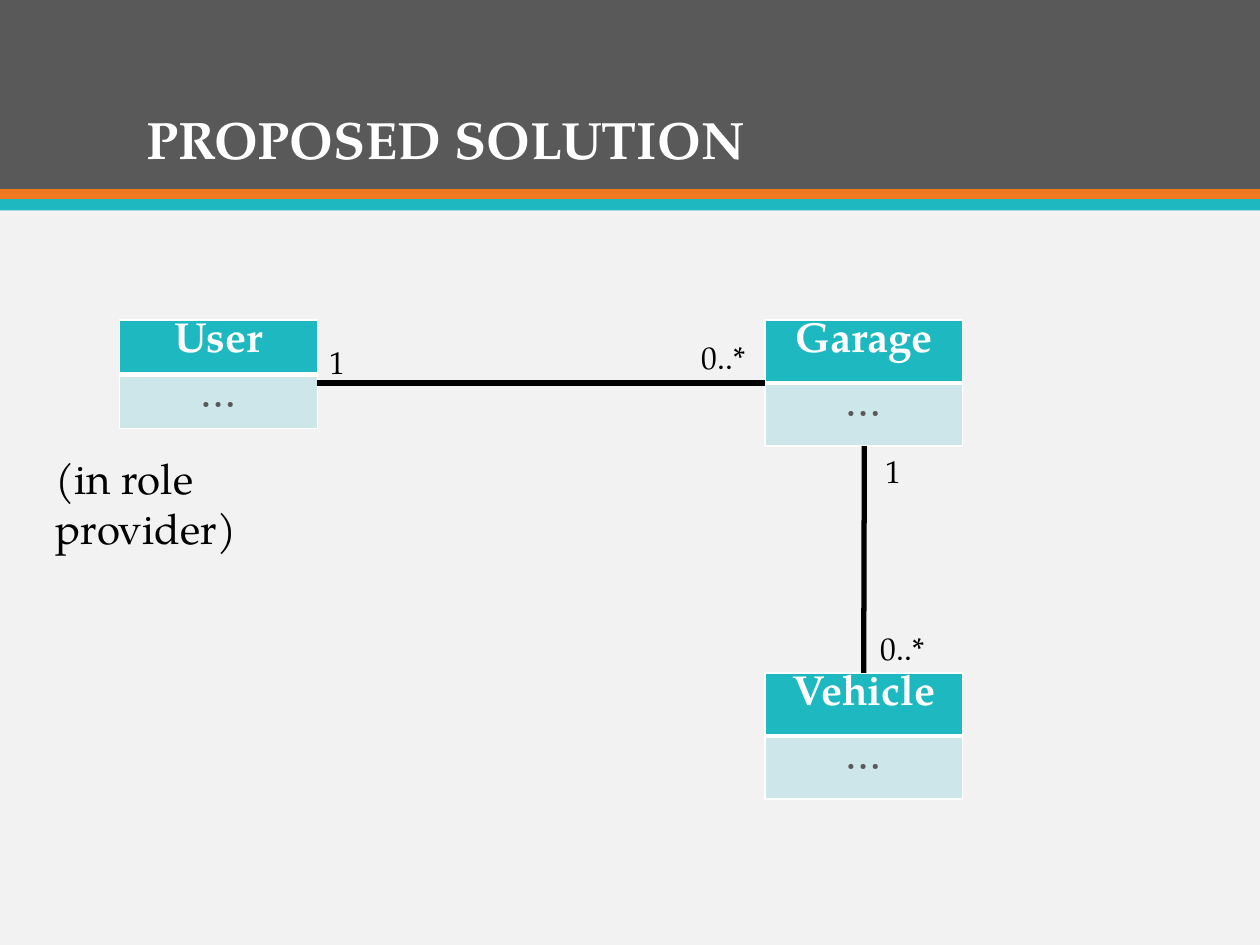
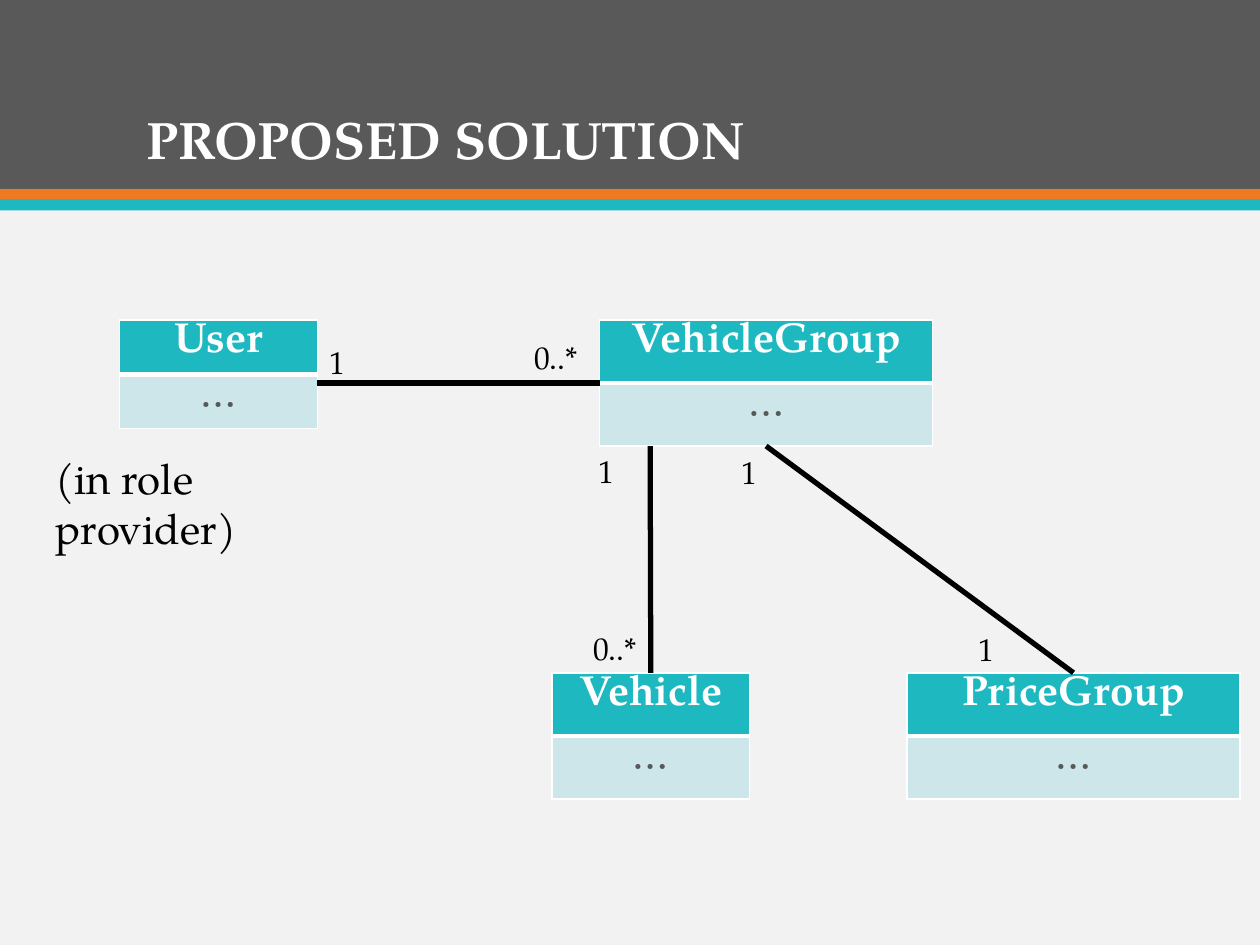
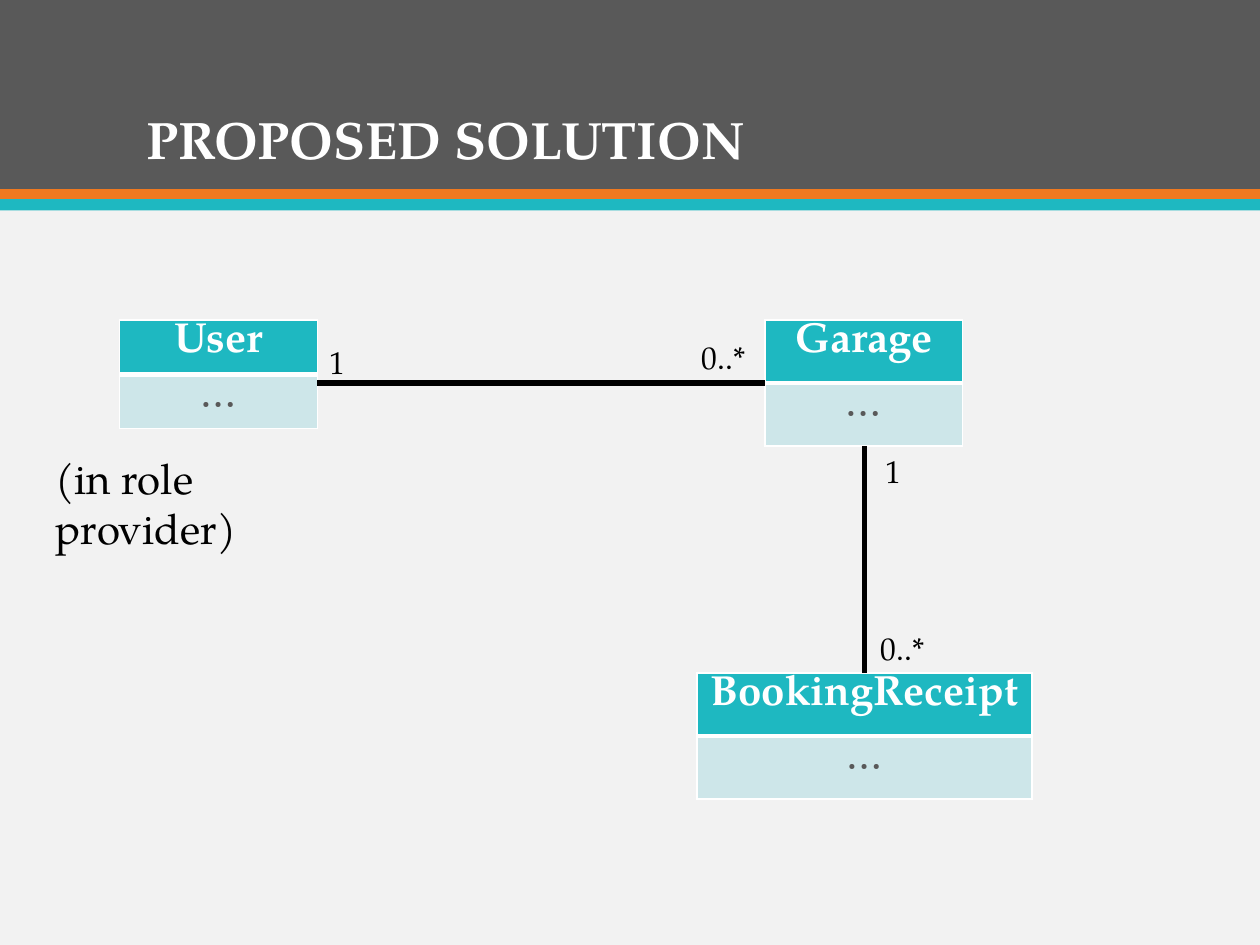
from lxml import etree
from pptx import Presentation
from pptx.dml.color import RGBColor
from pptx.enum import shapes, text
from pptx.oxml import ns
from pptx.util import Inches, Pt

# Content: owner is (name, left, width); children add the x where their link starts;
# multiplicities are (text, left, top)
TITLE = "PROPOSED SOLUTION"
ROLE_NOTE = "(in role provider)"
USER = ("User", 0.95, 1.57)
GARAGE = ("Garage", 6.07, 1.57)
GARAGE_LABELS = [("0..*", 5.47, 2.63), ("1", 6.93, 3.54), ("0..*", 6.89, 4.94)]
DIAGRAMS = [
    {"owner": GARAGE,
     "children": [("Vehicle", 6.07, 1.57, 6.86)],
     "labels": GARAGE_LABELS},
    {"owner": ("VehicleGroup", 4.76, 2.64),
     "children": [("Vehicle", 4.38, 1.57, 5.16), ("PriceGroup", 7.2, 2.64, 6.08)],
     "labels": [("0..*", 4.14, 2.63), ("1", 4.65, 3.54), ("0..*", 4.61, 4.94),
                ("1", 5.79, 3.55), ("1", 7.67, 4.95)]},
    {"owner": GARAGE,
     "children": [("BookingReceipt", 5.53, 2.66, 6.86)],
     "labels": GARAGE_LABELS},
]

# Shared style
FONT = "TeX Gyre Pagella"
WHITE, BLACK, GRAY, ORANGE, TEAL = "FFFFFF", "000000", "595959", "EF7920", "1EB8C1"
PALE_TEAL, PAPER = "CDE6E9", "F2F2F2"
BANDS = [(0, 1.5, GRAY), (1.5, 0.09, ORANGE), (1.58, 0.09, TEAL)]
UPPER_TOP, LOWER_TOP, ROW_HEIGHT, USER_ROW_HEIGHT = 2.54, 5.34, 0.5, 0.43
UPPER_BOTTOM = UPPER_TOP + 2 * ROW_HEIGHT
LINK_Y = UPPER_TOP + ROW_HEIGHT


def color(value):
    return RGBColor.from_string(value)


def inches(*values):
    return [Inches(value) for value in values]


def style(paragraph, size, font_color, bold=False):
    font = paragraph.font
    font.name, font.size, font.bold = FONT, Pt(size), bold
    font.color.rgb = color(font_color)


def add_bands(slide, layout):
    """Put the background and header bands on the layout, behind its title."""
    layout.background.fill.solid()
    layout.background.fill.fore_color.rgb = color(PAPER)
    for position, (top, height, fill) in enumerate(BANDS):
        band = slide.shapes.add_shape(shapes.MSO_SHAPE.RECTANGLE, *inches(0, top, 10, height))
        band.shadow.inherit = False
        band.fill.solid()
        band.fill.fore_color.rgb = color(fill)
        band.line.fill.background()
        layout.shapes.element.insert(2 + position, band.element)


def add_title(slide):
    title = slide.shapes.title
    title.left, title.top, title.width, title.height = inches(1.06, 0.28, 7.88, 1.13)
    title.text_frame.text = TITLE
    title.text_frame.vertical_anchor = text.MSO_ANCHOR.BOTTOM
    paragraph = title.text_frame.paragraphs[0]
    paragraph.alignment = text.PP_ALIGN.LEFT
    paragraph.line_spacing = 0.9
    style(paragraph, 30, WHITE, True)


def add_text(slide, words, left, top, width, height, size, wrap):
    box = slide.shapes.add_textbox(*inches(left, top, width, height))
    frame = box.text_frame
    frame.word_wrap = wrap
    frame.auto_size = text.MSO_AUTO_SIZE.SHAPE_TO_FIT_TEXT
    frame.text = words
    style(frame.paragraphs[0], size, BLACK)


def set_borders(cell, widths):
    properties = cell._tc.get_or_add_tcPr()
    for side, width in zip("LRTB", widths):
        line = etree.SubElement(properties, ns.qn("a:ln" + side), w=str(Pt(width)))
        fill = etree.SubElement(line, ns.qn("a:solidFill"))
        etree.SubElement(fill, ns.qn("a:srgbClr"), val=WHITE)


def add_class(slide, name, left, top, width, row_height=ROW_HEIGHT):
    """Draw a class as a table with a name row and a row for its members."""
    frame = slide.shapes.add_table(2, 1, *inches(left, top, width, 2 * row_height))
    table = frame.table
    table.horz_banding = False
    rows = [(name, WHITE, TEAL, True, (1, 1, 1, 3)), ("…", GRAY, PALE_TEAL, False, (1, 1, 3, 1))]
    for index, (words, font_color, fill, bold, borders) in enumerate(rows):
        table.rows[index].height = Inches(row_height)
        cell = table.cell(index, 0)
        set_borders(cell, borders)
        cell.fill.solid()
        cell.fill.fore_color.rgb = color(fill)
        cell.text = words
        paragraph = cell.text_frame.paragraphs[0]
        paragraph.alignment = text.PP_ALIGN.CENTER
        paragraph.line_spacing = 0.8
        style(paragraph, 24, font_color, bold)


def add_link(slide, *ends):
    link = slide.shapes.add_connector(shapes.MSO_CONNECTOR.STRAIGHT, *inches(*ends))
    link.line.color.rgb = color(BLACK)
    link.line.width = Pt(3)
    etree.SubElement(link.element.spPr, ns.qn("a:effectLst"))


def add_diagram(slide, owner, children, labels):
    user_name, user_left, user_width = USER
    owner_name, owner_left, owner_width = owner
    user_right = user_left + user_width

    # User and the class it owns
    add_class(slide, user_name, user_left, UPPER_TOP, user_width, USER_ROW_HEIGHT)
    add_text(slide, ROLE_NOTE, 0.34, UPPER_BOTTOM, 2.79, 0.5, 24, True)
    add_class(slide, owner_name, owner_left, UPPER_TOP, owner_width)
    add_link(slide, user_right, LINK_Y, owner_left, LINK_Y)

    # Classes below, each linked from its top centre
    for name, left, width, start in children:
        add_class(slide, name, left, LOWER_TOP, width)
        add_link(slide, start, UPPER_BOTTOM, left + width / 2, LOWER_TOP)

    # Multiplicities
    for words, left, top in [("1", user_right, 2.67)] + labels:
        add_text(slide, words, left, top, 0.33 if words == "1" else 0.55, 0.4, 18, False)


def main():
    presentation = Presentation()
    presentation.slide_width, presentation.slide_height = inches(10, 7.5)
    layout = presentation.slide_layouts[5]
    for index, diagram in enumerate(DIAGRAMS):
        slide = presentation.slides.add_slide(layout)
        if index == 0:
            add_bands(slide, layout)
        add_title(slide)
        add_diagram(slide, **diagram)
    presentation.save("out.pptx")


if __name__ == "__main__":
    main()
